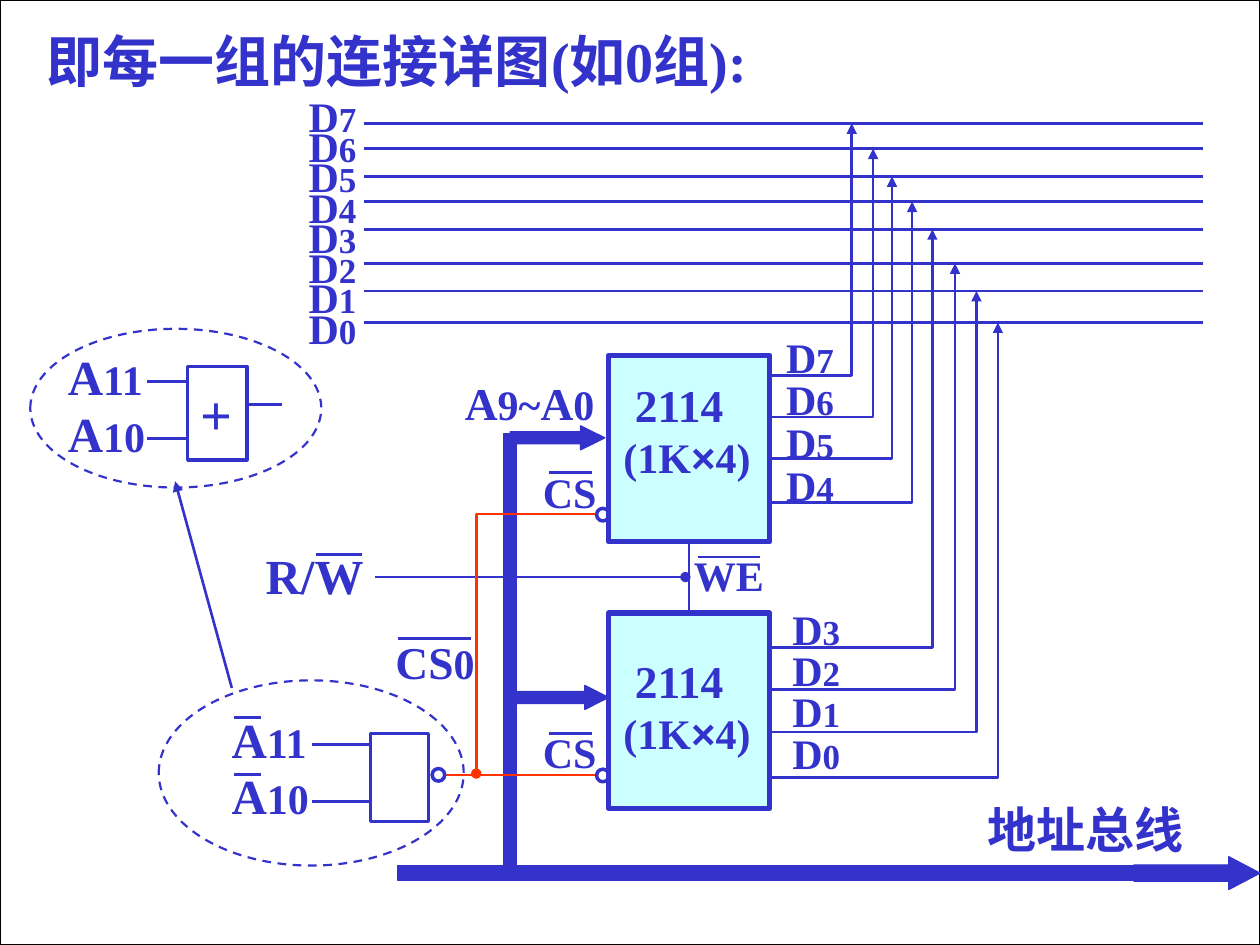
import dataclasses
import pptx
import pptx.util
import pptx.dml.color
import pptx.enum.dml
import pptx.enum.shapes
import pptx.oxml

KIND = pptx.enum.shapes.MSO_SHAPE
CELL = pptx.util.Inches(0.1)  # the slide is a grid of 100 columns by 75 rows


@dataclasses.dataclass(frozen=True)
class Theme:
    ink: str = "3333CC"
    red: str = "FF3300"
    chip: str = "CCFFFF"
    paper: str = "FFFFFF"
    edge: str = "000000"
    face: str = "Times New Roman"
    sign: str = "Arial"
    head: int = 32
    big: int = 28
    mid: int = 26
    base: int = 24
    small: int = 20
    thin: float = 0.75
    dash: float = 1.25
    wire: float = 1.5
    gate: float = 2
    bold: float = 3


T = Theme()


@dataclasses.dataclass(frozen=True)
class Box:
    x: float
    y: float
    w: float
    h: float

    def sub(self, x, y, w, h):
        return Box(self.x + x, self.y + y, w, h)

    def frame(self):
        return [grid(n) for n in (self.x, self.y, self.w, self.h)]


def grid(n):
    return round(n * CELL)


def rgb(hue):
    return pptx.dml.color.RGBColor.from_string(hue)


def style(item, values):
    for key, value in values.items():
        setattr(item, key, value)


def stroke(item, hue, width, **ends):
    item.line.color.rgb = rgb(hue)
    item.line.width = pptx.util.Pt(width)
    for end, kind in ends.items():
        mark = pptx.oxml.parse_xml(
            f'<a:{end} xmlns:a="http://schemas.openxmlformats.org/drawingml/2006/main" type="{kind}"/>')
        item.line._get_or_add_ln().append(mark)


def shape(slide, kind, box, width, fill=None, hue=T.ink):
    item = slide.shapes.add_shape(kind, *box.frame())
    item.shadow.inherit = False
    if fill:
        item.fill.solid()
        item.fill.fore_color.rgb = rgb(fill)
    else:
        item.fill.background()
    stroke(item, hue, width)
    return item


def line(slide, x1, y1, x2, y2, hue=T.ink, **ends):
    item = slide.shapes.add_connector(
        pptx.enum.shapes.MSO_CONNECTOR.STRAIGHT, *map(grid, (x1, y1, x2, y2)))
    item._element.spPr.append(pptx.oxml.parse_xml(
        '<a:effectLst xmlns:a="http://schemas.openxmlformats.org/drawingml/2006/main"/>'))
    stroke(item, hue, T.wire, **ends)
    return item


def bend(slide, points, hue=T.ink, **ends):
    first, *rest = [(grid(x), grid(y)) for x, y in points]
    pen = slide.shapes.build_freeform(*first)
    pen.add_line_segments(rest, close=False)
    item = pen.convert_to_shape()
    item.shadow.inherit = False
    item.fill.background()
    stroke(item, hue, T.wire, **ends)


def write(para, *runs):
    for words, size, *face in runs:
        run = para.add_run()
        run.text = words
        style(run.font, {"size": pptx.util.Pt(size), "bold": True,
                         "name": face[0] if face else T.face})
        run.font.color.rgb = rgb(T.ink)


def text(slide, box, *runs):
    frame = slide.shapes.add_textbox(*box.frame()).text_frame
    frame.word_wrap = True
    write(frame.paragraphs[0], *runs)
    return frame


def arrow(slide, box, point):
    item = shape(slide, KIND.RIGHT_ARROW, box, T.thin, T.ink)
    item.adjustments[1] = point


def ring(slide, x, y):
    shape(slide, KIND.OVAL, Box(x, y, 1, 1), T.gate)


def names(slide, box, bits, space):
    """Column of data labels, one to a line."""
    para = text(slide, box).paragraphs[0]
    para.line_spacing = space
    for i, bit in enumerate(bits):
        if i:
            para.add_line_break()
        write(para, ("D", T.base), (str(bit), T.small))


def data_bus(slide, box, rows):
    for row in rows:
        line(slide, box.x + 5.4, row, box.x + box.w, row)
    names(slide, box.sub(0, 0, 7.5, box.h), range(7, -1, -1), 0.6)


def chip(slide, box, drop):
    """Memory chip with its type and size."""
    item = shape(slide, KIND.RECTANGLE, box, T.bold, T.chip)
    frame = text(slide, box.sub(0.2, drop, 13, 9.4), ("2114", T.mid))
    frame.paragraphs[0]._p.get_or_add_pPr().set("marL", str(grid(0.9)))
    write(frame.add_paragraph(), ("(1K", T.base), ("×", T.base, T.sign), ("4)", T.base))
    return item


def pins(slide, box, rows, taps, lanes):
    """Data pins of a chip, led up to the lanes of the bus."""
    right = box.x + box.w
    for row, tap, lane in zip(rows, taps, lanes):
        bend(slide, [(right, box.y + row), (tap, box.y + row), (tap, lane)],
             tailEnd="triangle")


def select(slide, box):
    """Chip select label, its bar and the ring on the chip's edge."""
    text(slide, box, ("CS", T.base))
    line(slide, box.x + 1.5, box.y + 1, box.x + 4.9, box.y + 1)
    ring(slide, box.x + 5.25, box.y + 3.85)


def address(slide, box):
    """Address bus along the foot, its riser and the chip inputs."""
    arrow(slide, box.sub(58.4, 0, 10, 2.6), 0.95)
    foot = box.sub(0, 0.7, 60.1, 1.2)
    riser = box.sub(8.4, -33.6, 1, 34.4)
    for bar in (foot, riser):
        shape(slide, KIND.RECTANGLE, bar, T.thin, T.ink)
    arrow(slide, box.sub(8.9, -34.2, 7.5, 1.9), 1.01)
    arrow(slide, box.sub(9.3, -13.6, 7.4, 1.9), 0.99)
    label = text(slide, box.sub(45.8, -4.5, 21.2, 5.2), ("地址总线", T.big))
    label.paragraphs[0].line_spacing = 0.9
    text(slide, box.sub(4.3, -38.7, 12.8, 5.4),
         ("A", T.mid), ("9~", T.base), ("A", T.mid), ("0", T.base))


def strobe(slide, box, top, low):
    """Write line between the chips."""
    link = line(slide, 0, 0, 0, 0)
    link.begin_connect(top, 2)
    link.end_connect(low, 0)
    line(slide, box.x + 9.7, box.y + 3, box.x + 34.3, box.y + 3, tailEnd="oval")
    text(slide, box.sub(0, 0, 11.6, 5.7), ("R/W", T.big))
    line(slide, box.x + 5, box.y + 1.2, box.x + 8.6, box.y + 1.2)
    text(slide, box.sub(34, 0.3, 8, 5), ("WE", T.base))
    line(slide, box.x + 35.3, box.y + 1.4, box.x + 40.2, box.y + 1.4)


def enable(slide, box):
    """Red select line from the gate to both chips."""
    foot, right = box.y + box.h, box.x + box.w
    line(slide, box.x - 2.4, foot, right, foot, T.red)
    bend(slide, [(box.x, foot - 0.1), (box.x, box.y), (right, box.y)],
         T.red, headEnd="oval")
    text(slide, box.sub(-7.4, 9, 8.8, 5.4), ("CS", T.mid), ("0", T.base))
    line(slide, box.x - 6.2, box.y + 9.9, box.x - 0.4, box.y + 9.9)


def gate(slide, box, body, rows, back, lead, bars=False):
    """Gate with inputs A11 and A10 in a dashed oval."""
    shape(slide, KIND.RECTANGLE, body, T.gate)
    for bit, row in zip(("11", "10"), rows):
        y = box.y + row
        line(slide, body.x - lead, y, body.x - 0.1, y)
        text(slide, Box(body.x - back, y - 3.3, 9, 5.7),
             ("A", T.big), (bit, T.base))
        if bars:
            line(slide, body.x - 10.8, y - 2.15, body.x - 8.7, y - 2.15)
    oval = shape(slide, KIND.OVAL, box, T.dash)
    oval.line.dash_style = pptx.enum.dml.MSO_LINE.DASH


def and_gate(slide, box):
    gate(slide, box, box.sub(16.8, 4.2, 4.6, 7), (5.1, 9.6), 12, 4.6, bars=True)
    ring(slide, box.x + 21.7, box.y + 7)


def or_gate(slide, box):
    body = box.sub(12.5, 3, 4.7, 7.4)
    gate(slide, box, body, (4.2, 8.7), 10.5, 3.2)
    text(slide, body.sub(0, 0.5, 4.9, 6.4), ("+", T.head))
    line(slide, body.x + 4.8, box.y + 6, body.x + 7.5, box.y + 6)


def main():
    deck = pptx.Presentation()
    style(deck, {"slide_width": grid(100), "slide_height": grid(75)})
    slide = deck.slides.add_slide(deck.slide_layouts[6])

    # Page and title
    shape(slide, KIND.RECTANGLE, Box(0, 0, 100, 75), T.thin, T.paper, T.edge)
    text(slide, Box(2.7, 1.6, 66, 6.4), ("即每一组的连接详图(如0组):", T.head))

    # Chips and data bus
    lanes = (9.8, 11.8, 14, 16, 18.2, 20.9, 23.1, 25.6)
    taps = (67.6, 69.3, 70.8, 72.4, 74, 75.8, 77.5, 79.2)
    top, low = Box(48.3, 28.2, 12.8, 14.8), Box(48.3, 48.65, 12.8, 15.5)
    chips = chip(slide, top, 1.2), chip(slide, low, 2.65)
    data_bus(slide, Box(23.5, 8.1, 72, 20.2), lanes)
    pins(slide, top, (1.6, 4.9, 8.2, 11.7), taps[:4], lanes[:4])
    pins(slide, low, (2.75, 6.05, 9.45, 13.05), taps[4:], lanes[4:])
    names(slide, top.sub(13.1, -1.8, 6.2, 14.6), range(7, 3, -1), 0.85)
    names(slide, low.sub(13.6, -0.55, 7.9, 14.1), range(3, -1, -1), 0.82)

    # Control and address lines
    strobe(slide, Box(20.1, 42.8, 41.7, 5.7), *chips)
    address(slide, Box(31.6, 68, 68.4, 2.6))
    select(slide, top.sub(-6.2, 8.3, 7, 5))
    select(slide, low.sub(-6.2, 8.55, 7, 5))
    enable(slide, Box(37.8, 40.8, 9.4, 20.7))

    # Gates, the lower one leading to the upper one
    and_gate(slide, Box(12.6, 54, 24.2, 14.7))
    line(slide, 18.4, 54.6, 13.9, 38.2, tailEnd="triangle")
    or_gate(slide, Box(2.4, 26.1, 23.1, 12.6))

    deck.save("out.pptx")


if __name__ == "__main__":
    main()
